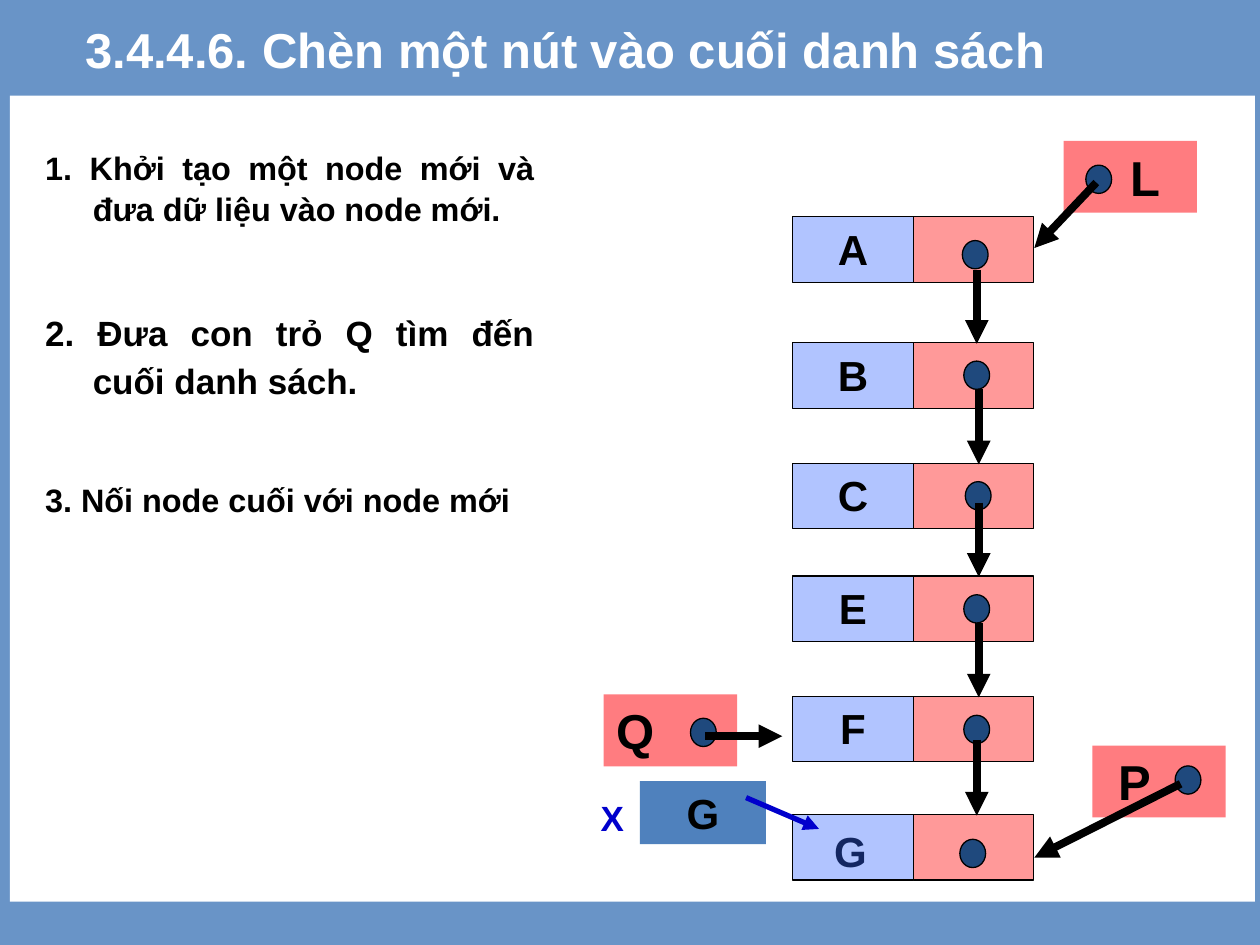
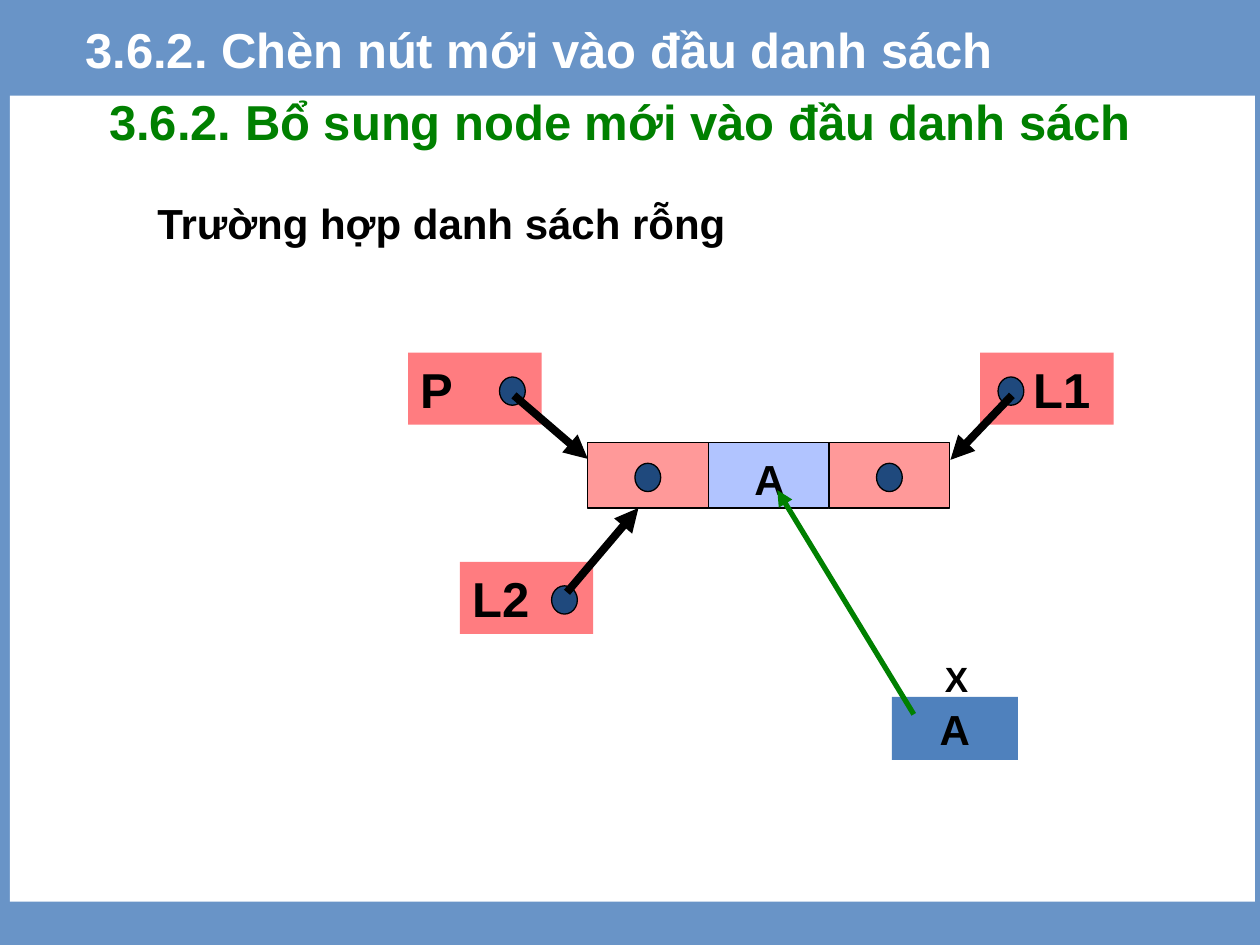
from lxml.etree import SubElement
from pptx import Presentation
from pptx.dml.color import RGBColor
from pptx.enum.shapes import MSO_CONNECTOR, MSO_SHAPE
from pptx.enum.text import MSO_ANCHOR, MSO_AUTO_SIZE, PP_ALIGN
from pptx.oxml.ns import qn
from pptx.util import Cm, Pt

FONT = "Arial"
BLACK, WHITE, BLUE, GREEN = "000000", "FFFFFF", "0000CC", "008000"
BACKDROP, POINTER, VALUE, DOT = "6994C7", "FF7C80", "4F81BD", "1F497D"
DATA_CELL, LINK_CELL = ("3366FF", 38), ("FF0000", 40)  # colour, opacity in %

# Sizes in cm
CELL = (2.43, 1.32)
POINTER_BOX = (2.69, 1.45)
VALUE_BOX = (2.54, 1.27)
DOT_SIZE = (0.52, 0.57)
INSET = (0.25, 0.13)

# Slide 1: insert at the end of a list
APPEND_TITLE = "3.4.4.6. Chèn một nút vào cuối danh sách"
APPEND_STEPS = [  # text, size, line spacing, space before
    ("1. Khởi tạo một node mới và đưa dữ liệu vào node mới.", 18.5, 1.05, 0),
    ("2. Đưa con trỏ Q tìm đến cuối danh sách.", 20, 1.15, 44),
    ("3. Nối node cuối với node mới", 18.5, 1.05, 44),
]
NODE_LEFT = 15.98
NODES = [  # letter, top, dot corner, arrow start
    ("A", 4.37, (19.4, 4.85), (19.69, 5.44)),
    ("B", 6.91, (19.43, 7.28), (19.73, 7.85)),
    ("C", 9.34, (19.46, 9.71), (19.73, 10.13)),
    ("E", 11.61, (19.43, 11.99), (19.73, 12.55)),
    ("F", 14.04, (19.43, 14.42), (19.69, 14.91)),
]
NEW_NODE_TOP = 16.42
NEW_NODE_DOT = (19.35, 16.92)
APPEND_POINTERS = [  # name, indent, box corner, dot corner, arrow ends
    ("L", 1.1, (21.44, 2.84), (21.89, 3.33), (22.1, 3.68), (20.85, 5)),
    ("Q", 0, (12.17, 14), (13.92, 14.48), (14.22, 14.84), (15.77, 14.84)),
    ("P", 0.27, (22.02, 15.03), (23.69, 15.44), (23.8, 15.8), (20.85, 17.29)),
]

# Slide 2: insert at the start of a list
PREPEND_TITLE = "3.6.2. Chèn nút mới vào đầu danh sách"
PREPEND_HEADING = "3.6.2. Bổ sung node mới vào đầu danh sách"
PREPEND_CASE = "Trường hợp danh sách rỗng"
DOUBLE_NODE = (11.85, 8.92)
DOUBLE_NODE_DOTS = [(12.8, 9.34), (17.67, 9.34)]
PREPEND_POINTERS = [
    ("P", 0, (8.23, 7.11), (10.07, 7.6), (10.36, 7.97), (11.85, 9.25)),
    ("L1", 0.82, (19.76, 7.11), (20.12, 7.6), (20.4, 7.97), (19.16, 9.27)),
    ("L2", 0, (9.27, 11.33), (11.12, 11.81), (11.43, 11.94), (12.87, 10.24)),
]


def colour(value):
    return RGBColor.from_string(value)


def place(shape, corner, size):
    shape.left, shape.top = map(Cm, corner)
    shape.width, shape.height = map(Cm, size)


def write(frame, text, size, ink=BLACK, align=PP_ALIGN.LEFT, first=True):
    para = frame.paragraphs[0] if first else frame.add_paragraph()
    para.alignment = align
    span = para.add_run()
    span.text = text
    span.font.name, span.font.size, span.font.bold = FONT, Pt(size), True
    span.font.color.rgb = colour(ink)
    return para


def set_frame(frame, anchor=MSO_ANCHOR.TOP, indent=0):
    frame.word_wrap = True
    frame.auto_size = MSO_AUTO_SIZE.NONE
    frame.vertical_anchor = anchor
    frame.margin_left, frame.margin_right = Cm(INSET[0] + indent), Cm(INSET[0])
    frame.margin_top = frame.margin_bottom = Cm(INSET[1])
    return frame


def hang(para, indent):
    """Remove the bullet and set a hanging indent."""
    properties = para._p.get_or_add_pPr()
    properties.set("marL", str(Cm(indent)))
    properties.set("indent", str(-Cm(indent)))
    SubElement(properties, qn("a:buNone"))


def add_label(page, text, corner, size, points, ink=BLACK, align=PP_ALIGN.LEFT,
              anchor=MSO_ANCHOR.TOP):
    box = page.shapes.add_textbox(*map(Cm, corner + size))
    write(set_frame(box.text_frame, anchor), text, points, ink, align)


def add_block(page, corner, size, fill, opacity=100, outlined=False,
              kind=MSO_SHAPE.RECTANGLE):
    shape = page.shapes.add_shape(kind, *map(Cm, corner + size))
    shape.shadow.inherit = False
    shape.fill.solid()
    shape.fill.fore_color.rgb = colour(fill)
    if opacity < 100:
        tint = shape.fill._xPr.find(qn("a:solidFill"))[0]
        SubElement(tint, qn("a:alpha"), val=str(opacity * 1000))
    if outlined:
        shape.line.color.rgb = colour(BLACK)
        shape.line.width = Pt(0.75)
    else:
        shape.line.fill.background()
    return shape


def add_dot(page, corner):
    add_block(page, corner, DOT_SIZE, DOT, outlined=True, kind=MSO_SHAPE.OVAL)


def add_arrow(page, start, end, ink=BLACK, width=4.5):
    arrow = page.shapes.add_connector(MSO_CONNECTOR.STRAIGHT, *map(Cm, start + end))
    arrow.line.color.rgb = colour(ink)
    arrow.line.width = Pt(width)
    SubElement(arrow.line._get_or_add_ln(), qn("a:tailEnd"), type="triangle")
    SubElement(arrow._element.spPr, qn("a:effectLst"))


def add_cells(page, corner, kinds):
    """Draw adjoining node cells and return them from left to right."""
    left, top = corner
    return [add_block(page, (left + i * CELL[0], top), CELL, *kind, outlined=True)
            for i, kind in enumerate(kinds)]


def add_pointer(page, name, indent, corner, dot, start, end):
    box = add_block(page, corner, POINTER_BOX, POINTER)
    write(set_frame(box.text_frame, indent=indent), name, 28)
    add_dot(page, dot)
    add_arrow(page, start, end)


def add_value(page, letter, corner, label_corner, ink):
    box = add_block(page, corner, VALUE_BOX, VALUE)
    write(set_frame(box.text_frame), letter, 24, align=PP_ALIGN.CENTER)
    add_label(page, "X", label_corner, (1.07, 1.12), 20, ink)


def add_page(deck, title):
    """Start a page with the shared backdrop, panel and title band."""
    page = deck.slides.add_slide(deck.slide_layouts[1])
    page.background.fill.solid()
    page.background.fill.fore_color.rgb = colour(BACKDROP)
    panel = add_block(page, (0.2, 1.93), (25.1, 16.25), WHITE)
    page.shapes._spTree.insert(2, panel._element)
    heading = page.shapes.title
    place(heading, (1.47, 0.03), (23.34, 1.9))
    write(set_frame(heading.text_frame, MSO_ANCHOR.MIDDLE), title, 28, WHITE)
    return page


def build_append_page(deck):
    page = add_page(deck, APPEND_TITLE)

    # Steps
    body = page.placeholders[1]
    place(body, (0.66, 2.82), (10.36, 8.2))
    frame = set_frame(body.text_frame)
    for i, (text, size, spacing, before) in enumerate(APPEND_STEPS):
        para = write(frame, text, size, align=PP_ALIGN.JUSTIFY, first=i == 0)
        para.line_spacing, para.space_before = spacing, Pt(before)
        hang(para, 0.96)

    # Linked nodes, each arrow ending at the next node
    next_tops = [node[1] for node in NODES[1:]] + [NEW_NODE_TOP]
    for (letter, top, dot, start), next_top in zip(NODES, next_tops):
        data, _ = add_cells(page, (NODE_LEFT, top), [DATA_CELL, LINK_CELL])
        write(set_frame(data.text_frame), letter, 24, align=PP_ALIGN.CENTER)
        add_dot(page, dot)
        add_arrow(page, start, (start[0], next_top + 0.02))

    # New node with its value seen through the cell
    add_label(page, "G", (16.51, 16.51), (1.27, 1.27), 24, align=PP_ALIGN.CENTER)
    add_cells(page, (NODE_LEFT, NEW_NODE_TOP), [DATA_CELL, LINK_CELL])
    add_dot(page, NEW_NODE_DOT)
    add_value(page, "G", (12.9, 15.75), (11.86, 15.93), BLUE)
    add_arrow(page, (15.04, 16.08), (16.51, 16.71), BLUE, 3)

    for pointer in APPEND_POINTERS:
        add_pointer(page, *pointer)


def build_prepend_page(deck):
    page = add_page(deck, PREPEND_TITLE)

    # Headings
    add_label(page, PREPEND_HEADING, (1.07, 0.84), (22.86, 3.18), 28, GREEN,
              PP_ALIGN.CENTER, MSO_ANCHOR.MIDDLE)
    body = page.placeholders[1]
    place(body, (2.92, 3.86), (12.5, 1.27))
    para = write(set_frame(body.text_frame), PREPEND_CASE, 24)
    para.space_before = Pt(0)
    hang(para, 0)

    # Doubly linked node
    add_cells(page, DOUBLE_NODE, [LINK_CELL, DATA_CELL, LINK_CELL])
    for dot in DOUBLE_NODE_DOTS:
        add_dot(page, dot)
    add_label(page, "A", (14.96, 9.02), (1.07, 1.27), 24)

    for pointer in PREPEND_POINTERS:
        add_pointer(page, *pointer)

    # New value
    add_value(page, "A", (17.98, 14.05), (18.8, 13.13), BLACK)
    add_arrow(page, (18.42, 14.4), (15.67, 9.88), GREEN, 3)


def main():
    deck = Presentation()
    deck.slide_width, deck.slide_height = Cm(25.4), Cm(19.05)
    build_append_page(deck)
    build_prepend_page(deck)
    deck.save("out.pptx")


if __name__ == "__main__":
    main()
